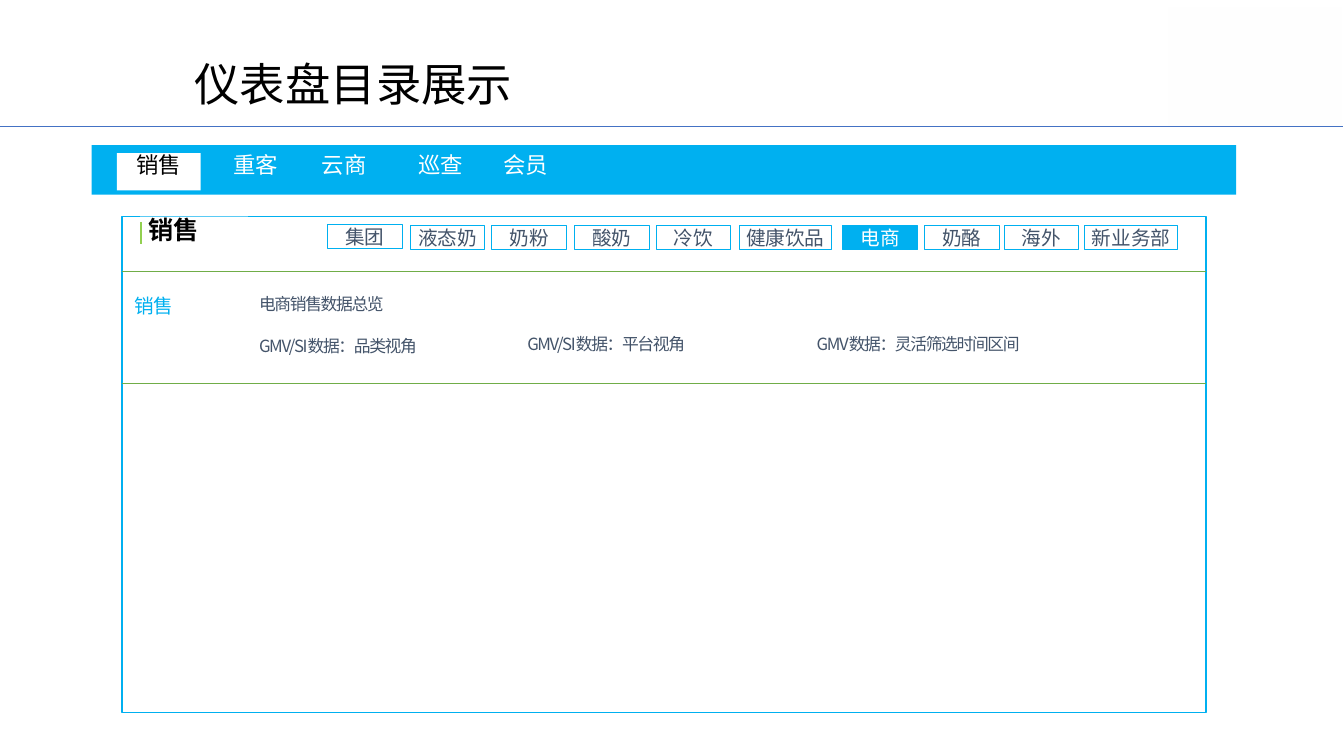
import pptx
import pptx.dml.color
import pptx.enum.shapes
import pptx.enum.text
import pptx.oxml.ns
import pptx.util
from lxml import etree
from pptx.util import Inches

FONT = "Noto Sans CJK SC"
BLUE, WHITE, BLACK, SLATE, GREEN = "00B0F0", "FFFFFF", "000000", "44546A", "70AD47"
ALIGN = pptx.enum.text.PP_ALIGN
ANCHOR = pptx.enum.text.MSO_ANCHOR
RECTANGLE = pptx.enum.shapes.MSO_SHAPE.RECTANGLE
STRAIGHT = pptx.enum.shapes.MSO_CONNECTOR.STRAIGHT


def paint(fill, color):
    """Make a fill solid in a hex colour, or empty when there is none."""
    if color:
        fill.solid()
        fill.fore_color.rgb = pptx.dml.color.RGBColor.from_string(color)
    else:
        fill.background()


def write(box, text, size, color, align=ALIGN.LEFT, anchor=ANCHOR.TOP, bold=False,
          spacing=0.9, tracking=0, side=0, top=0.01):
    """Fill a shape with one formatted paragraph; side and top are insets in inches."""
    frame = box.text_frame
    frame.word_wrap = True
    frame.auto_size = pptx.enum.text.MSO_AUTO_SIZE.NONE
    frame.vertical_anchor = anchor
    frame.margin_left = frame.margin_right = Inches(side)
    frame.margin_top = frame.margin_bottom = Inches(top)
    paragraph = frame.paragraphs[0]
    paragraph.alignment = align
    paragraph.line_spacing = spacing
    run = paragraph.add_run()
    run.text = text
    run.font.size = pptx.util.Pt(size)
    run.font.bold = bold
    run.font.name = FONT
    paint(run.font.fill, color)
    properties = run.font._element
    if tracking:
        properties.set("spc", str(tracking * 100))
    east_asian = etree.SubElement(properties, pptx.oxml.ns.qn("a:ea"))
    east_asian.set("typeface", FONT)


deck = pptx.Presentation()
deck.slide_width, deck.slide_height = Inches(13.33), Inches(7.5)
slide = deck.slides.add_slide(deck.slide_layouts[5])
shapes = slide.shapes

title = shapes.title
title.left, title.top = Inches(1.83), Inches(0.55)
title.width, title.height = Inches(10.05), Inches(0.62)
write(title, "仪表盘目录展示", 32.4, BLACK, anchor=ANCHOR.MIDDLE, side=0.1, top=0.05)

# Header corner, menu bar, dashboard panel, active tab and panel heading
panels = [
    (11.59, 0.07, 1.72, 1.18, "FEFEFE", None),
    (0.91, 1.44, 11.35, 0.49, BLUE, None),
    (1.21, 2.15, 10.75, 4.92, WHITE, BLUE),
    (1.16, 1.52, 0.83, 0.37, WHITE, None),
    (1.39, 2.15, 1.07, 0.35, WHITE, None),
]
drawn = []
for left, top, width, height, fill, border in panels:
    panel = shapes.add_shape(RECTANGLE, Inches(left), Inches(top), Inches(width), Inches(height))
    panel.shadow.inherit = False
    paint(panel.fill, fill)
    paint(panel.line.fill, border)
    if border:
        panel.line.width = pptx.util.Pt(1)
    drawn.append(panel)
active_tab, heading = drawn[3:]
write(active_tab, "销售", 16, BLACK, align=ALIGN.CENTER)
write(heading, "销售", 18, BLACK, bold=True, side=0.08)

# Header rule, heading accent and section dividers
rules = [
    (0, 1.25, 13.32, 1.25, "4472C4", 0.5),
    (1.4, 2.2, 1.4, 2.42, "92D050", 1.5),
    (1.21, 2.69, 11.96, 2.69, GREEN, 0.5),
    (1.21, 3.8, 11.96, 3.8, GREEN, 0.5),
]
for x1, y1, x2, y2, color, weight in rules:
    rule = shapes.add_connector(STRAIGHT, Inches(x1), Inches(y1), Inches(x2), Inches(y2))
    paint(rule.line.fill, color)
    rule.line.width = pptx.util.Pt(weight)
    etree.SubElement(rule._element.spPr, pptx.oxml.ns.qn("a:effectLst"))

tabs = [("重客", 2.12, 0.83), ("云商", 2.63, 1.57), ("巡查", 4.02, 0.7), ("会员", 4.7, 1.03)]
for name, left, width in tabs:
    tab = shapes.add_textbox(Inches(left), Inches(1.52), Inches(width), Inches(0.37))
    write(tab, name, 16, WHITE, align=ALIGN.CENTER)

section = shapes.add_textbox(Inches(1.33), Inches(2.93), Inches(1.12), Inches(0.34))
write(section, "销售", 14, BLUE)

reports = [
    ("电商销售数据总览", 2.57, 2.93),
    ("GMV/SI数据：品类视角", 2.57, 3.34),
    ("GMV/SI数据：平台视角", 5.23, 3.32),
    ("GMV数据：灵活筛选时间区间", 8.1, 3.32),
]
for name, left, top in reports:
    report = shapes.add_textbox(Inches(left), Inches(top), Inches(2.36), Inches(0.39))
    write(report, name, 12, SLATE, tracking=-1)

divisions = [
    ("集团", 3.25), ("液态奶", 4.07), ("奶粉", 4.88), ("酸奶", 5.7), ("冷饮", 6.51),
    ("健康饮品", 7.33), ("电商", 8.36), ("奶酪", 9.17), ("海外", 9.96), ("新业务部", 10.76),
]
for name, left in divisions:
    selected = name == "电商"
    top = 2.23 if name == "集团" else 2.24
    width = 0.92 if len(name) == 4 else 0.74
    button = shapes.add_shape(RECTANGLE, Inches(left), Inches(top), Inches(width), Inches(0.24))
    button.shadow.inherit = False
    paint(button.fill, BLUE if selected else None)
    paint(button.line.fill, BLUE)
    button.line.width = pptx.util.Pt(0.75)
    write(button, name, 14, WHITE if selected else SLATE, align=ALIGN.CENTER,
          anchor=ANCHOR.MIDDLE, spacing=1.0, top=0)

deck.save("out.pptx")
